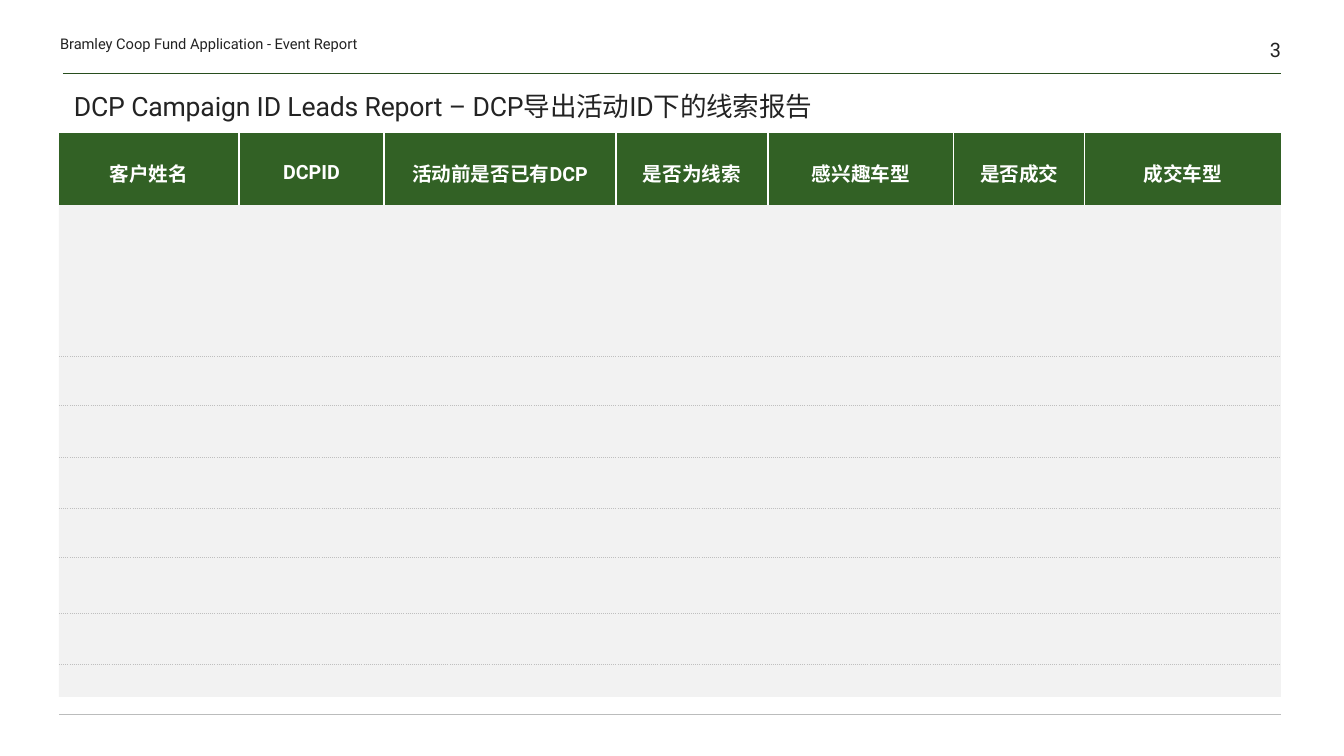
from dataclasses import dataclass

from lxml import etree
from pptx import Presentation
from pptx import util as u
from pptx.dml.color import RGBColor
from pptx.enum import shapes, text
from pptx.oxml.ns import qn

EMU_PER_PX = 914400 / 100.8
NO_STYLE = "{2D5ABB26-0587-4C30-8999-92F81FD0307C}"


@dataclass(frozen=True)
class Theme:
    font: str = "Roboto"
    ink: str = "232323"
    white: str = "FFFFFF"
    header: str = "326125"
    rule: str = "284E1E"
    panel: str = "F2F2F2"
    dots: str = "BFBFBF"
    base: str = "BBBCBC"
    title_size: float = 19
    number_size: float = 14.2
    head_size: float = 14
    label_size: float = 10.5


THEME = Theme()
HEADINGS = ["客户姓名", "DCPID", "活动前是否已有DCP", "是否为线索",
            "感兴趣车型", "是否成交", "成交车型"]
COLUMN_WIDTHS = [180, 145, 232, 152, 186, 131, 196]
ROW_HEIGHTS = [72, 49, 53, 49, 49, 52, 51, 49, 56, 51, 51]
FIRST_DOTTED_ROW = 4


def px(length):
    return u.Emu(round(length * EMU_PER_PX))


def style_paragraph(para, size, color, align, spacing=None, bold=False):
    para.alignment = align
    para.line_spacing = spacing
    for span in para.runs:
        span.font.name = THEME.font
        span.font.size = u.Pt(size)
        span.font.bold = bold
        span.font.color.rgb = RGBColor.from_string(color)


def add_text(page, area, words, size, align=text.PP_ALIGN.LEFT, spacing=None, inset=True):
    box = page.shapes.add_textbox(*map(px, area))
    frame = box.text_frame
    frame.word_wrap = True
    frame.vertical_anchor = text.MSO_ANCHOR.BOTTOM
    if not inset:
        frame.margin_left = frame.margin_right = 0
        frame.margin_top = frame.margin_bottom = 0
    frame.text = words
    style_paragraph(frame.paragraphs[0], size, THEME.ink, align, spacing)
    return box


def add_rule(page, left, right, top):
    rule = page.shapes.add_connector(
        shapes.MSO_CONNECTOR.STRAIGHT, px(left), px(top), px(right), px(top))
    rule.line.color.rgb = RGBColor.from_string(THEME.rule)
    rule.line.width = u.Pt(0.5)
    etree.SubElement(rule._element.spPr, qn("a:effectLst"))


def add_panel(page, area):
    panel = page.shapes.add_shape(shapes.MSO_SHAPE.RECTANGLE, *map(px, area))
    panel.shadow.inherit = False
    panel.fill.solid()
    panel.fill.fore_color.rgb = RGBColor.from_string(THEME.panel)
    panel.line.fill.background()


def set_borders(cell, borders):
    properties = cell._tc.get_or_add_tcPr()
    for index, side in enumerate("LRTB"):
        line = etree.Element(qn(f"a:ln{side}"))
        properties.insert(index, line)
        if side not in borders:
            etree.SubElement(line, qn("a:noFill"))
            continue
        color, width, dash = borders[side]
        line.set("w", str(u.Pt(width)))
        fill = etree.SubElement(line, qn("a:solidFill"))
        etree.SubElement(fill, qn("a:srgbClr"), val=color)
        etree.SubElement(line, qn("a:prstDash"), val=dash)


def fill_heading(cell, words, column):
    cell.fill.solid()
    cell.fill.fore_color.rgb = RGBColor.from_string(THEME.header)
    cell.margin_left = cell.margin_right = px(12)
    cell.margin_top = cell.margin_bottom = px(6)
    cell.vertical_anchor = text.MSO_ANCHOR.MIDDLE
    cell.text_frame.text = words
    style_paragraph(cell.text_frame.paragraphs[0], THEME.head_size, THEME.white,
                    text.PP_ALIGN.CENTER, 1.3, True)
    divider = (THEME.white, 1, "solid")
    borders = {}
    if column > 0:
        borders["L"] = divider
    if column < len(HEADINGS) - 1:
        borders["R"] = divider
    set_borders(cell, borders)


def body_borders(row):
    dotted = (THEME.dots, 0.25, "sysDot")
    borders = {}
    if row >= FIRST_DOTTED_ROW:
        borders["T"] = dotted
    if row >= FIRST_DOTTED_ROW - 1:
        borders["B"] = dotted
    if row == len(ROW_HEIGHTS) - 1:
        borders["B"] = (THEME.base, 0.5, "solid")
    return borders


def add_leads_table(page, left, top):
    frame = page.shapes.add_table(
        len(ROW_HEIGHTS), len(HEADINGS), px(left), px(top),
        px(sum(COLUMN_WIDTHS)), px(sum(ROW_HEIGHTS)))
    table = frame.table
    table.first_row = table.horz_banding = False
    table._tbl.tblPr.find(qn("a:tableStyleId")).text = NO_STYLE
    for column, width in zip(table.columns, COLUMN_WIDTHS):
        column.width = px(width)
    for row, height in zip(table.rows, ROW_HEIGHTS):
        row.height = px(height)
    for column, words in enumerate(HEADINGS):
        fill_heading(table.cell(0, column), words, column)
        for row in range(1, len(ROW_HEIGHTS)):
            cell = table.cell(row, column)
            cell.fill.background()
            set_borders(cell, body_borders(row))


def main():
    deck = Presentation()
    deck.slide_width, deck.slide_height = px(1344), px(756)
    page = deck.slides.add_slide(deck.slide_layouts[6])
    add_rule(page, 63, 1281, 73)
    add_panel(page, (59, 138, 1222, 559))
    title = add_text(page, (64, 75, 1217, 52),
                     "DCP Campaign ID Leads Report – DCP导出活动ID下的线索报告",
                     THEME.title_size, spacing=0.85)
    for span in title.text_frame.paragraphs[0].runs:
        span.font._element.set("spc", "-10")
    add_text(page, (1197, 0, 84, 62), "3", THEME.number_size,
             text.PP_ALIGN.RIGHT, inset=False)
    add_text(page, (60, 29, 420, 23), "Bramley Coop Fund Application - Event Report",
             THEME.label_size, inset=False)
    add_leads_table(page, 59, 133)
    deck.save("out.pptx")


if __name__ == "__main__":
    main()
